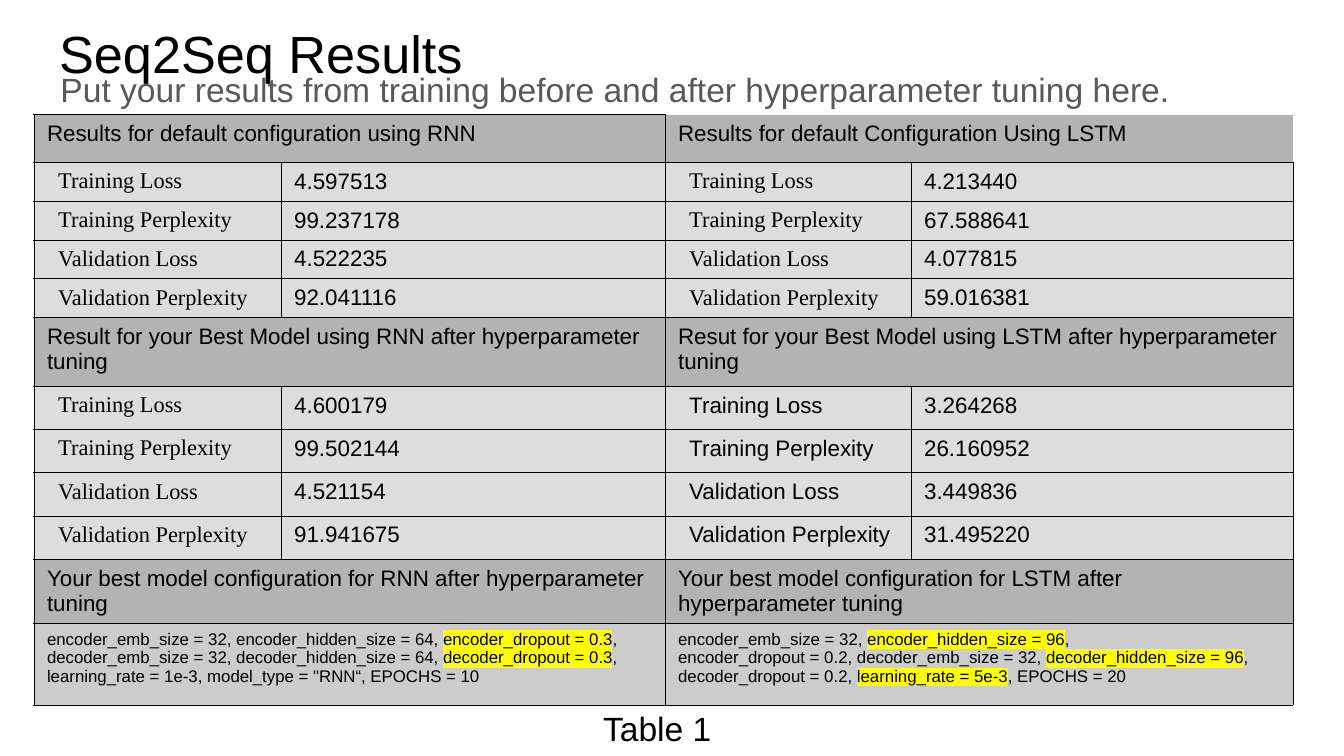
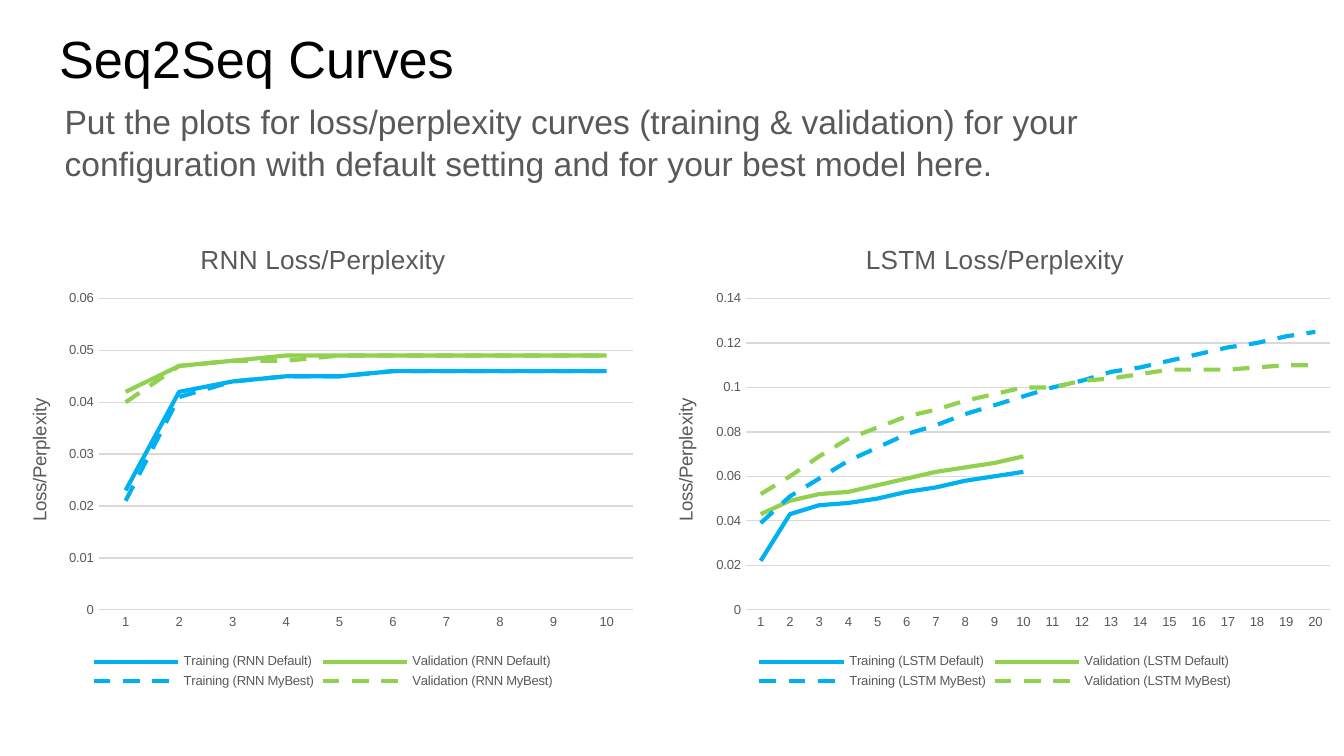
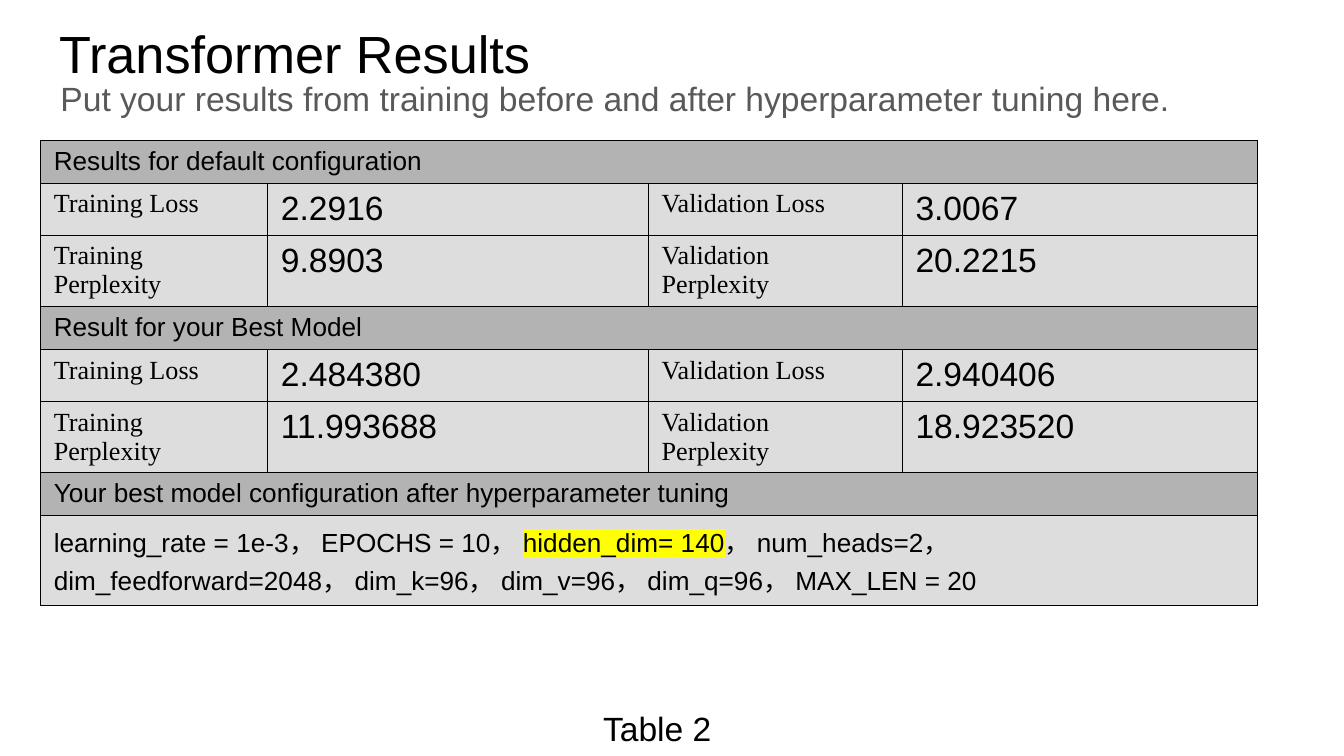
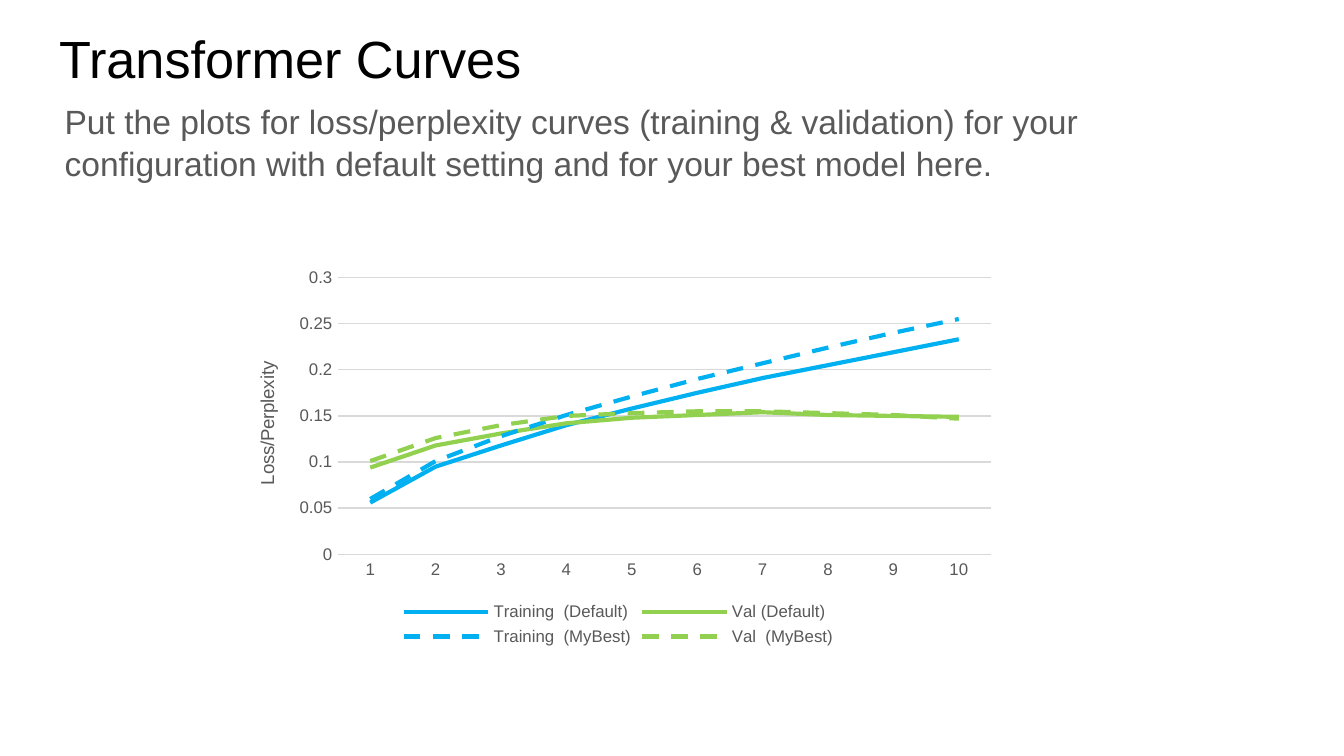
"""Build four slides of model results: two tables and three line charts."""
from dataclasses import dataclass

from lxml.etree import SubElement
from pptx import Presentation
from pptx.chart.data import CategoryChartData
from pptx.dml.color import RGBColor
from pptx.enum.chart import XL_CHART_TYPE, XL_LEGEND_POSITION, XL_TICK_MARK
from pptx.enum.dml import MSO_LINE
from pptx.enum.text import MSO_ANCHOR, MSO_AUTO_SIZE, PP_ALIGN
from pptx.oxml.ns import qn
from pptx.util import Pt


@dataclass(frozen=True)
class Theme:
    ink: str = "000000"
    gray: str = "595959"
    rule: str = "D9D9D9"
    white: str = "FFFFFF"
    head: str = "B3B3B3"
    cell: str = "DDDDDD"
    note: str = "CCCCCC"
    mark: str = "FFFF00"
    blue: str = "00B0F0"
    green: str = "92D050"
    sans: str = "Arial"
    serif: str = "Times New Roman"
    title: int = 28
    body: int = 18
    plot: int = 14
    axis: int = 10


look = Theme()


def style(font, size, tone=look.ink, face=look.sans):
    font.size, font.name, font.bold = Pt(size), face, False
    font.color.rgb = RGBColor.from_string(tone)


def edge(cell, tones):
    props = cell._tc.get_or_add_tcPr()
    for side, tone in zip("LRTB", tones):
        line = SubElement(props, qn(f"a:ln{side}"), w=str(Pt(0.06)))
        fill = SubElement(line, qn("a:solidFill"))
        SubElement(fill, qn("a:srgbClr"), val=tone)


deck = Presentation()
deck.slide_width, deck.slide_height = Pt(720), Pt(405)

result = "Put your results from training before and after hyperparameter tuning here."
curve = ("Put the plots for loss/perplexity curves (training & validation) for your "
         "configuration with default setting and for your best model here.")
pages = [
    ("Seq2Seq Results", 0.7, result, (25.2, 32.4, 612.7, 27.4), "Table 1"),
    ("Seq2Seq Curves", 3.6, curve, (27.4, 49.7, 573.1, 47.5), None),
    ("Transformer Results", 0.7, result, (25.2, 37.4, 612.7, 27.4), "Table 2"),
    ("Transformer Curves", 3.6, curve, (27.4, 49.7, 573.1, 47.5), None),
]
slides = []
for name, top, hint, box, label in pages:
    slide = deck.slides.add_slide(deck.slide_layouts[1])
    slides.append(slide)
    title, body = slide.placeholders
    parts = [
        (title, name, (24.5, top, 671, 44.6), 7.2, look.title, look.ink, 1.1),
        (body, hint, box, 3.6, look.body, look.gray, 1.04),
    ]
    if label:
        text = slide.shapes.add_textbox(0, 0, 0, 0)
        parts.append((text, label, (316, 376, 79.2, 28.8), 3.6, look.body, look.ink, 1))
    for shape, words, place, inset, size, tone, pitch in parts:
        shape.left, shape.top, shape.width, shape.height = map(Pt, place)
        frame = shape.text_frame
        frame.text, frame.word_wrap = words, True
        frame.auto_size, frame.vertical_anchor = MSO_AUTO_SIZE.NONE, MSO_ANCHOR.TOP
        frame.margin_left = frame.margin_right = Pt(7.2)
        frame.margin_top = frame.margin_bottom = Pt(inset)
        para = frame.paragraphs[0]
        props = para._p.get_or_add_pPr()
        props.set("marL", "0")
        props.set("indent", "0")
        SubElement(props, qn("a:buNone"))
        para.alignment, para.space_before, para.line_spacing = PP_ALIGN.LEFT, Pt(0), pitch
        style(para.font, size, tone)

pairs = [
    ["Results for default configuration using RNN", None,
     "Results for default Configuration Using LSTM", None],
    ["Training Loss", "4.597513", "Training Loss", "4.213440"],
    ["Training Perplexity", "99.237178", "Training Perplexity", "67.588641"],
    ["Validation Loss", "4.522235", "Validation Loss", "4.077815"],
    ["Validation Perplexity", "92.041116", "Validation Perplexity", "59.016381"],
    ["Result for your Best Model using RNN after hyperparameter tuning", None,
     "Resut for your Best Model using LSTM after hyperparameter tuning", None],
    ["Training Loss", "4.600179", "Training Loss", "3.264268"],
    ["Training Perplexity", "99.502144", "Training Perplexity", "26.160952"],
    ["Validation Loss", "4.521154", "Validation Loss", "3.449836"],
    ["Validation Perplexity", "91.941675", "Validation Perplexity", "31.495220"],
    ["Your best model configuration for RNN after hyperparameter tuning", None,
     "Your best model configuration for LSTM after hyperparameter tuning", None],
    ["encoder_emb_size = 32, encoder_hidden_size = 64, |encoder_dropout = 0.3|, \n"
     "decoder_emb_size = 32, decoder_hidden_size = 64, |decoder_dropout = 0.3|, "
     "learning_rate = 1e-3, model_type = \"RNN“, EPOCHS = 10", None,
     "encoder_emb_size = 32, |encoder_hidden_size = 96|, \n"
     "encoder_dropout = 0.2, decoder_emb_size = 32, |decoder_hidden_size = 96|, \n"
     "decoder_dropout = 0.2, |learning_rate = 5e-3|, EPOCHS = 20", None],
]
single = [
    ["Results for default configuration", None, None, None],
    ["Training Loss", "2.2916", "Validation Loss", "3.0067"],
    ["Training\vPerplexity", "9.8903", "Validation\vPerplexity", "20.2215"],
    ["Result for your Best Model", None, None, None],
    ["Training Loss", "2.484380", "Validation Loss", "2.940406"],
    ["Training\vPerplexity", "11.993688", "Validation\vPerplexity", "18.923520"],
    ["Your best model configuration after hyperparameter tuning", None, None, None],
    ["learning_rate = 1e-3， EPOCHS = 10， |hidden_dim= 140|， num_heads=2， "
     "dim_feedforward=2048， dim_k=96， dim_v=96， dim_q=96， MAX_LEN = 20",
     None, None, None],
]
tables = [
    (slides[0], pairs, 18, 61.2, (132.4, 205.7, 131.8, 204.7),
     [25.7] + [20.8] * 4 + [36.8] + [23.2] * 4 + [34.3, 43.9],
     (12, 12, 9), look.note, 13.2),
    (slides[2], single, 21.6, 75, (121.7, 204, 136, 190.4),
     [23, 27.9, 38, 23, 27.9, 38, 23, 48], (14, 18, 14), look.cell, 7.2),
]
for slide, grid, left, top, cols, rows, sizes, shade, pad in tables:
    holder = slide.shapes.add_table(
        len(rows), len(cols), Pt(left), Pt(top), Pt(sum(cols)), Pt(sum(rows)))
    table = holder.table
    table.first_row = table.horz_banding = False
    for col, width in zip(table.columns, cols):
        col.width = Pt(width)
    for row, height in zip(table.rows, rows):
        row.height = Pt(height)
    for y, row in enumerate(grid):
        wide, last = row[1] is None, y == len(grid) - 1
        fill = shade if last else look.head if wide else look.cell
        for x, words in enumerate(row):
            cell = table.cell(y, x)
            open_top = grid is pairs and y == 0 and x > 1
            outer = look.white if open_top else look.ink
            edge(cell, (look.ink, outer, outer, look.ink))
            cell.fill.solid()
            cell.fill.fore_color.rgb = RGBColor.from_string(fill)
            if words is None:
                continue
            if wide:
                span = 2 if grid is pairs else 4
                cell.merge(table.cell(y, x + span - 1))
            tag = not wide and x % 2 == 0
            if tag:
                cell.margin_left = Pt(pad)
            plain = grid is pairs and y > 5 and x == 2
            face = look.serif if tag and not plain else look.sans
            size = sizes[2] if last else sizes[0] if wide or tag else sizes[1]
            frame = cell.text_frame
            frame.text = words.replace("|", "")
            for para, line in zip(frame.paragraphs, words.split("\n")):
                style(para.font, size, face=face)
                if "|" in line:
                    para.clear()
                    for turn, piece in enumerate(line.split("|")):
                        run = para.add_run()
                        run.text = piece
                        if turn % 2:
                            mark = SubElement(run._r.get_or_add_rPr(), qn("a:highlight"))
                            SubElement(mark, qn("a:srgbClr"), val=look.mark)

charts = [
    (slides[1], (0, 118.8, 346.3, 252.7), "RNN Loss/Perplexity", 7, 10, 0.06, 0.01,
     (0.153, 0.163, 0.827, 0.66), {
        "Training (RNN Default)":
            [0.023, 0.042, 0.044, 0.045, 0.045, 0.046, 0.046, 0.046, 0.046, 0.046],
        "Validation (RNN Default)":
            [0.042, 0.047, 0.048, 0.049, 0.049, 0.049, 0.049, 0.049, 0.049, 0.049],
        "Training (RNN MyBest)":
            [0.021, 0.041, 0.044, 0.045, 0.045, 0.046, 0.046, 0.046, 0.046, 0.046],
        "Validation (RNN MyBest)":
            [0.04, 0.047, 0.048, 0.048, 0.049, 0.049, 0.049, 0.049, 0.049, 0.049]}),
    (slides[1], (346.3, 118.8, 373.7, 252.7), "LSTM Loss/Perplexity", 7, 20, 0.14, 0.02,
     (0.143, 0.163, 0.837, 0.66), {
        "Training (LSTM Default)":
            [0.022, 0.043, 0.047, 0.048, 0.05, 0.053, 0.055, 0.058, 0.06, 0.062],
        "Validation (LSTM Default)":
            [0.043, 0.049, 0.052, 0.053, 0.056, 0.059, 0.062, 0.064, 0.066, 0.069],
        "Training (LSTM MyBest)":
            [0.039, 0.051, 0.059, 0.067, 0.073, 0.079, 0.083, 0.088, 0.092, 0.096,
             0.1, 0.103, 0.107, 0.109, 0.112, 0.115, 0.118, 0.12, 0.123, 0.125],
        "Validation (LSTM MyBest)":
            [0.052, 0.06, 0.069, 0.077, 0.082, 0.087, 0.09, 0.094, 0.097, 0.1,
             0.1, 0.103, 0.104, 0.106, 0.108, 0.108, 0.108, 0.109, 0.11, 0.11]}),
    (slides[3], (122.4, 139, 417.6, 210.2), None, 9, 10, 0.3, 0.05,
     (0.14, 0.046, 0.839, 0.706), {
        "Training  (Default)":
            [0.056, 0.095, 0.118, 0.14, 0.158, 0.175, 0.191, 0.205, 0.219, 0.233],
        "Val (Default)":
            [0.094, 0.118, 0.131, 0.142, 0.148, 0.151, 0.154, 0.151, 0.15, 0.149],
        "Training  (MyBest)":
            [0.06, 0.101, 0.128, 0.151, 0.171, 0.19, 0.207, 0.224, 0.24, 0.255],
        "Val  (MyBest)":
            [0.101, 0.126, 0.14, 0.15, 0.153, 0.155, 0.155, 0.153, 0.151, 0.147]}),
]
for slide, box, name, size, count, high, step, area, lines in charts:
    data = CategoryChartData()
    data.categories = [str(n + 1) for n in range(count)]
    for key, vals in lines.items():
        data.add_series(key, vals + [None] * (count - len(vals)))
    chart = slide.shapes.add_chart(XL_CHART_TYPE.LINE, *map(Pt, box), data).chart
    style(chart.font, size, look.gray)
    chart.has_title = name is not None
    if name:
        chart.chart_title.text_frame.text = name
        chart.chart_title.include_in_layout = False
        style(chart.chart_title.text_frame.paragraphs[0].font, look.plot, look.gray)
    chart.has_legend = True
    chart.legend.position = XL_LEGEND_POSITION.BOTTOM
    chart.legend.include_in_layout = False
    style(chart.legend.font, size, look.gray)

    base, scale = chart.category_axis, chart.value_axis
    for axis in (base, scale):
        axis.major_tick_mark = axis.minor_tick_mark = XL_TICK_MARK.NONE
        style(axis.tick_labels.font, size, look.gray)
    scale.minimum_scale, scale.maximum_scale, scale.major_unit = 0, high, step
    scale.has_major_gridlines = True
    for line in (base.format.line, scale.major_gridlines.format.line):
        line.width = Pt(0.75)
        line.color.rgb = RGBColor.from_string(look.rule)
    scale.format.line.fill.background()
    scale.axis_title.text_frame.text = "Loss/Perplexity"
    style(scale.axis_title.text_frame.paragraphs[0].font, look.axis, look.gray)

    chart.plots[0].vary_by_categories = False
    for turn, series in enumerate(chart.plots[0].series):
        series.smooth = False
        line = series.format.line
        line.width = Pt(2.25)
        line.color.rgb = RGBColor.from_string((look.blue, look.green)[turn % 2])
        if turn > 1:
            line.dash_style = MSO_LINE.DASH

    field = chart.element.find(".//" + qn("c:plotArea"))
    for old in field.findall(qn("c:layout")):
        field.remove(old)
    layout = SubElement(field, qn("c:layout"))
    field.insert(0, layout)
    manual = SubElement(layout, qn("c:manualLayout"))
    keys = ("layoutTarget", "xMode", "yMode", "x", "y", "w", "h")
    for key, val in zip(keys, ("inner", "edge", "edge", *area)):
        SubElement(manual, qn(f"c:{key}"), val=str(val))

deck.save("out.pptx")
